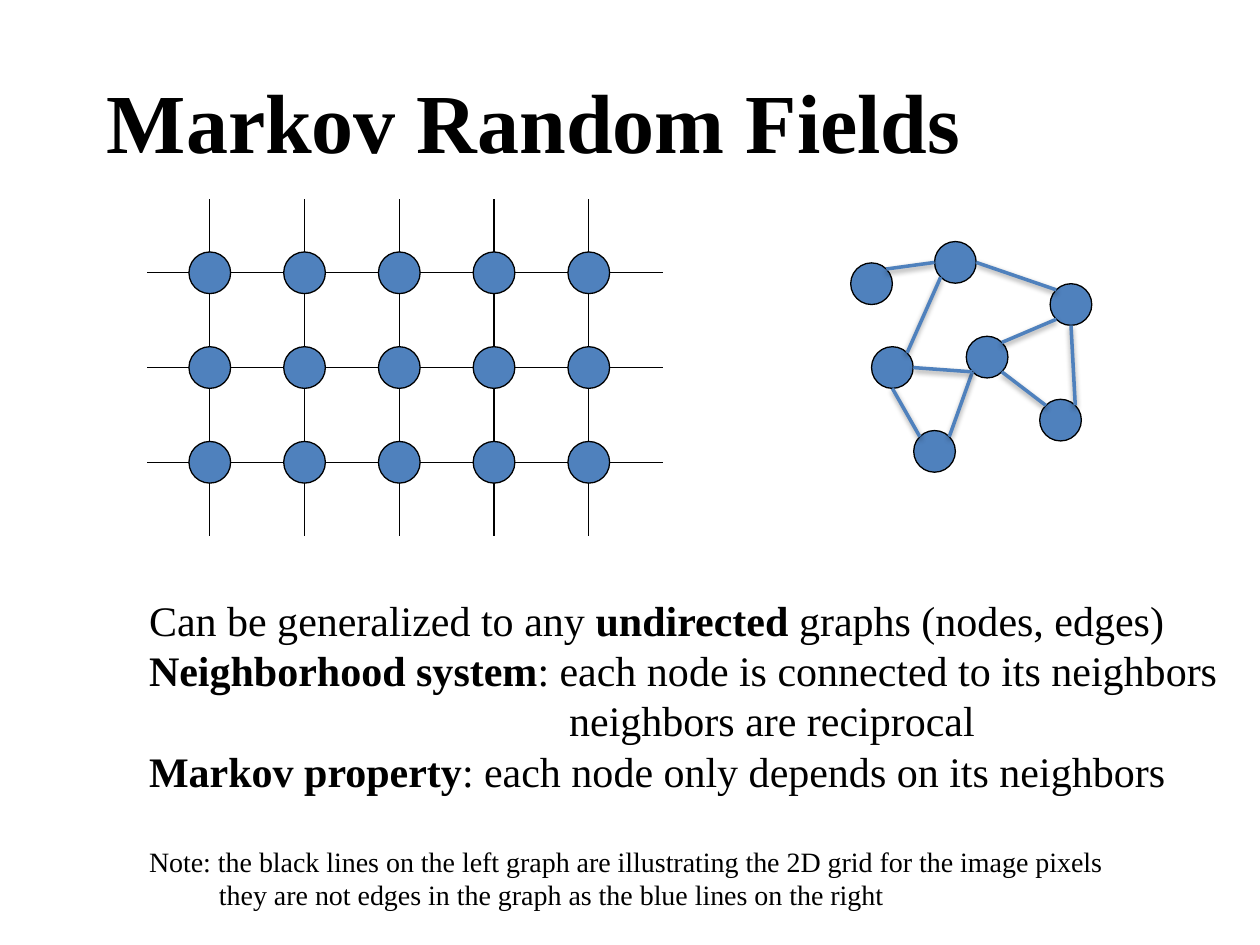
from math import sqrt

from lxml.etree import SubElement
from pptx import Presentation
from pptx.dml.color import RGBColor
from pptx.enum.shapes import MSO_CONNECTOR, MSO_SHAPE
from pptx.enum.text import MSO_ANCHOR, MSO_AUTO_SIZE, PP_ALIGN
from pptx.oxml.ns import qn
from pptx.util import Cm, Pt

FONT = "Times New Roman"
COLORS = {"text": "000000", "outline": "000000", "node": "4F81BD", "edge": "4F81BD"}
RADIUS = 0.42


def add_node(shapes, x, y):
    """Draw a round node centred on x, y (in cm)."""
    node = shapes.add_shape(MSO_SHAPE.OVAL, Cm(x - RADIUS), Cm(y - RADIUS),
                            Cm(2 * RADIUS), Cm(2 * RADIUS))
    node.shadow.inherit = False
    node.fill.solid()
    node.fill.fore_color.rgb = RGBColor.from_string(COLORS["node"])
    node.line.color.rgb = RGBColor.from_string(COLORS["outline"])
    node.line.width = Pt(0.75)


def add_line(shapes, start, end, color, width):
    line = shapes.add_connector(MSO_CONNECTOR.STRAIGHT, Cm(start[0]), Cm(start[1]),
                                Cm(end[0]), Cm(end[1]))
    line.line.color.rgb = RGBColor.from_string(COLORS[color])
    line.line.width = Pt(width)
    return line


deck = Presentation()
deck.slide_width, deck.slide_height = Cm(25.4), Cm(19.05)
page = deck.slides.add_slide(deck.slide_layouts[1])
title, body = page.shapes.title, page.placeholders[1]

# Title
title.left, title.top, title.width, title.height = Cm(1.9), Cm(1.27), Cm(17.9), Cm(2.31)
title.text_frame.text = "Markov Random Fields"
title.text_frame.word_wrap = False
title.text_frame.auto_size = MSO_AUTO_SIZE.NONE
para = title.text_frame.paragraphs[0]
para.alignment = PP_ALIGN.LEFT
font = para.runs[0].font
font.name, font.size, font.bold = FONT, Pt(48), True
font.color.rgb = RGBColor.from_string(COLORS["text"])

# Pixel grid
columns, rows, gap = 5, 3, 1.91
grid_left, grid_top = 4.23, 5.5
short_stub, long_stub = 0.84, 1.07
grid = page.shapes.add_group_shape()
grid_lines = []
for row in range(rows):
    y = grid_top + row * gap
    grid_lines.append(((grid_left - RADIUS, y), (grid_left - RADIUS - short_stub, y)))
    for column in range(columns):
        x = grid_left + column * gap
        add_node(grid.shapes, x, y)
        grid_lines.append(((x + RADIUS, y), (x + RADIUS + long_stub, y)))
        grid_lines.append(((x, y - RADIUS), (x, y - RADIUS - long_stub)))
        if row == rows - 1:
            grid_lines.append(((x, y + RADIUS), (x, y + RADIUS + long_stub)))
for start, end in grid_lines:
    line = add_line(grid.shapes, start, end, "outline", 0.75)
    SubElement(line._element.spPr, qn("a:effectLst"))

# Undirected graph; the edges keep the soft shadow of the theme
centers = {
    "far left": (17.57, 5.72), "top": (19.26, 5.29), "right": (21.59, 6.14),
    "left": (17.99, 7.41), "middle": (19.9, 7.2),
    "low right": (21.38, 8.47), "bottom": (18.84, 9.1),
}
diagonal = 1 / sqrt(2)
directions = {
    "E": (1, 0), "S": (0, 1), "W": (-1, 0),
    "NE": (diagonal, -diagonal), "NW": (-diagonal, -diagonal),
    "SE": (diagonal, diagonal), "SW": (-diagonal, diagonal),
}
edges = [
    (("far left", "NE"), ("top", "W")),
    (("top", "E"), ("right", "NW")),
    (("right", "SW"), ("middle", "NE")),
    (("middle", "SW"), ("bottom", "NE")),
    (("middle", "SE"), ("low right", "NW")),
    (("left", "S"), ("bottom", "NW")),
    (("top", "SW"), ("left", "NE")),
    (("middle", "SW"), ("left", "E")),
    (("low right", "NE"), ("right", "S")),
]
for center in centers.values():
    add_node(page.shapes, *center)
for edge in edges:
    start, end = [[c + RADIUS * d for c, d in zip(centers[name], directions[side])]
                  for name, side in edge]
    add_line(page.shapes, start, end, "edge", 2)

# Explanation: size, indent in cm, space before in points, (text, bold) spans
paragraphs = [
    (24, 0, 0, [("Can be generalized to any ", False), ("undirected ", True),
                ("graphs (nodes, edges)", False)]),
    (24, 0, 0, [("Neighborhood system", True),
                (": each node is connected to its neighbors", False)]),
    (24, 8.47, 0, [("neighbors are reciprocal", False)]),
    (24, 0, 0, [("Markov property", True),
                (": each node only depends on its neighbors", False)]),
    (16, 0, 27.6, [("Note: the black lines on the left graph are illustrating "
                    "the 2D grid for the image pixels", False)]),
    (16, 1.41, 0, [("they are not edges in the graph as the blue lines on the right",
                    False)]),
]
body.left, body.top, body.width, body.height = Cm(2.75), Cm(11.85), Cm(22.25), Cm(6.76)
frame = body.text_frame
frame.word_wrap = False
frame.auto_size = MSO_AUTO_SIZE.NONE
frame.vertical_anchor = MSO_ANCHOR.TOP
for index, (size, indent, space, spans) in enumerate(paragraphs):
    para = frame.add_paragraph() if index else frame.paragraphs[0]
    para.alignment = PP_ALIGN.LEFT
    para.space_before = Pt(space)
    properties = para._p.get_or_add_pPr()
    properties.set("marL", str(Cm(indent)))
    properties.set("indent", "0")
    SubElement(properties, qn("a:buNone"))
    for text, bold in spans:
        span = para.add_run()
        span.text = text
        span.font.name, span.font.size, span.font.bold = FONT, Pt(size), bold
        span.font.color.rgb = RGBColor.from_string(COLORS["text"])

deck.save("out.pptx")
